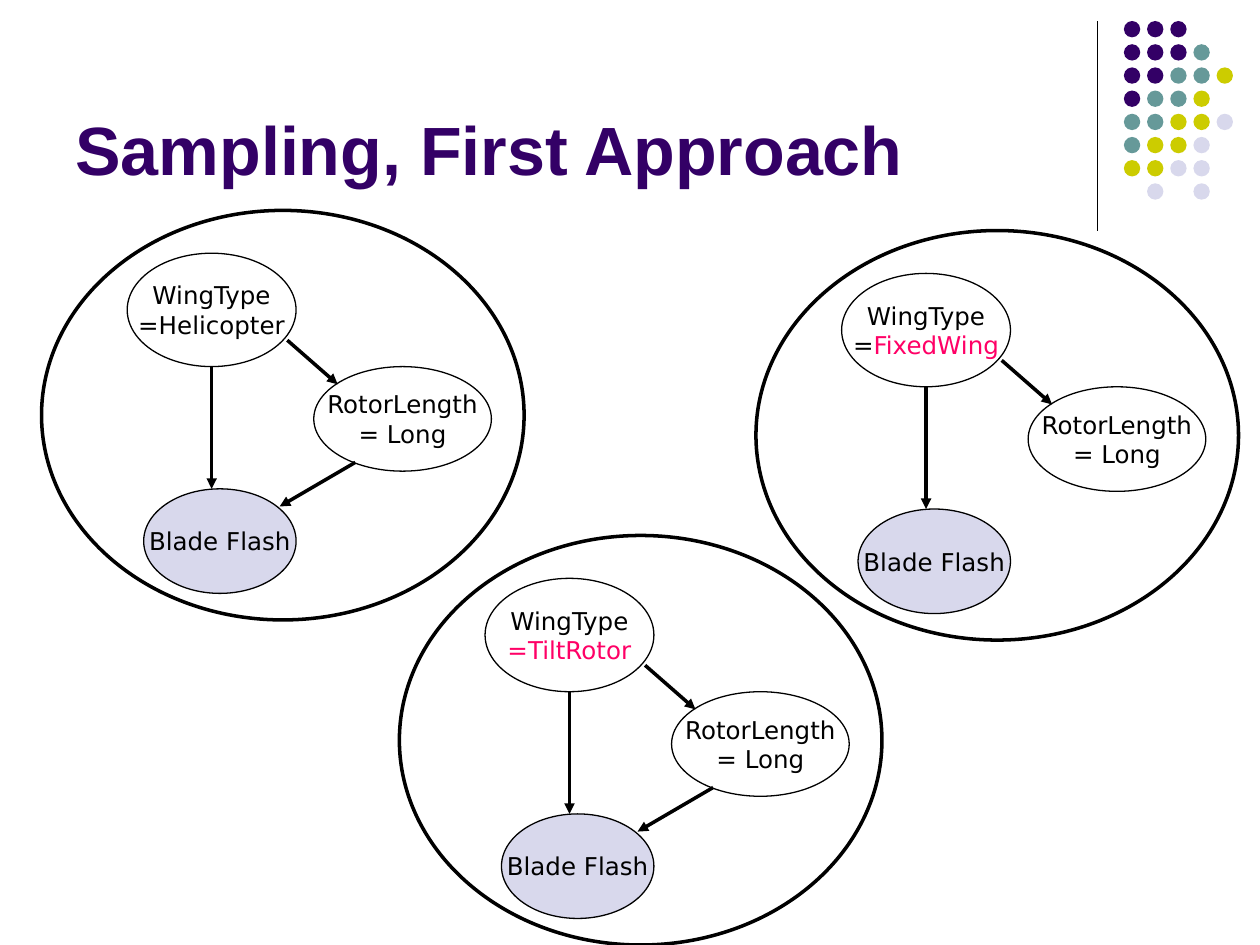
from typing import NamedTuple

from lxml import etree
from pptx import Presentation
from pptx.dml.color import RGBColor
from pptx.enum.shapes import MSO_CONNECTOR, MSO_SHAPE
from pptx.enum.text import MSO_ANCHOR, PP_ALIGN
from pptx.oxml.ns import qn
from pptx.util import Inches, Pt

OVAL = MSO_SHAPE.OVAL
STRAIGHT = MSO_CONNECTOR.STRAIGHT
MIDDLE, BOTTOM = MSO_ANCHOR.MIDDLE, MSO_ANCHOR.BOTTOM
CENTER = PP_ALIGN.CENTER

BLACK, PURPLE, PINK, LILAC = "000000", "330066", "FF0066", "D8D8EC"
DOTS = {"P": PURPLE, "T": "669999", "Y": "CCCC00", "L": LILAC}
DOT_ROWS = ["PPP", "PPPT", "PPTTY", "PTTY", "TTYYL", "TYYL", "YYLL", " L L"]
THIN, THICK = 0.75, 2

# The slide is a grid of 100 columns by 75 rows.
COLS, ROWS = 100, 75


class Run(NamedTuple):
    text: str
    color: str = BLACK


class Box(NamedTuple):
    col: float
    row: float
    wide: float
    high: float


class Arrow(NamedTuple):
    col: float
    row: float
    to_col: float
    to_row: float


class Sample(NamedTuple):
    col: float
    row: float
    value: list[Run]
    linked: bool


# Places inside a sample are counted from the top left of its ring.
RING = Box(0, 0, 38.3, 32.5)
WING = Box(6.8, 3.4, 13.4, 9)
BLADE = Box(8.1, 22.1, 12.1, 8.3)
ROTOR = Box(21.6, 12.4, 14.1, 8.3)
WING_BLADE = Arrow(13.5, 12.4, 13.5, 22.1)
WING_ROTOR = Arrow(19.5, 10.3, 23.5, 13.8)
ROTOR_BLADE = Arrow(24.9, 20, 18.9, 23.5)

SAMPLES = [
    Sample(3.3, 16.7, [Run("=Helicopter")], True),
    Sample(31.7, 42.5, [Run("=TiltRotor", PINK)], True),
    Sample(60, 18.3, [Run("="), Run("FixedWing", PINK)], False),
]

deck = Presentation()
deck.slide_width, deck.slide_height = Inches(10), Inches(7.5)
slide = deck.slides.add_slide(deck.slide_layouts[6])
shapes = slide.shapes


def paint(color: str) -> RGBColor:
    return RGBColor.from_string(color)


def across(cols: float) -> int:
    return round(deck.slide_width * cols / COLS)


def down(rows: float) -> int:
    return round(deck.slide_height * rows / ROWS)


def place(box: Box) -> tuple[int, int, int, int]:
    return across(box.col), down(box.row), across(box.wide), down(box.high)


def shift(box: Box, sample: Sample) -> Box:
    return box._replace(col=box.col + sample.col, row=box.row + sample.row)


def draw_oval(box: Box, fill: str = "", line: float = 0):
    """Draw an ellipse; an empty fill or zero line is left out."""
    oval = shapes.add_shape(OVAL, *place(box))
    oval.shadow.inherit = False
    if fill:
        oval.fill.solid()
        oval.fill.fore_color.rgb = paint(fill)
    else:
        oval.fill.background()
    if line:
        oval.line.color.rgb = paint(BLACK)
        oval.line.width = Pt(line)
    else:
        oval.line.fill.background()
    return oval


def draw_node(box: Box, lines: list[list[Run]], fill: str = "") -> None:
    frame = draw_oval(box, fill, THIN).text_frame
    frame.word_wrap = False
    frame.vertical_anchor = MIDDLE
    for index, runs in enumerate(lines):
        para = frame.add_paragraph() if index else frame.paragraphs[0]
        para.alignment = CENTER
        para.font.name, para.font.size = "DejaVu Sans", Pt(14)
        for item in runs:
            run = para.add_run()
            run.text = item.text
            run.font.color.rgb = paint(item.color)


def draw_line(ends: Arrow, width: float, head: bool = True) -> None:
    line = shapes.add_connector(
        STRAIGHT, across(ends.col), down(ends.row),
        across(ends.to_col), down(ends.to_row))
    line.line.color.rgb = paint(BLACK)
    line.line.width = Pt(width)
    if head:
        etree.SubElement(line.line._get_or_add_ln(), qn("a:tailEnd"),
                         type="triangle")
    etree.SubElement(line._element.spPr, qn("a:effectLst"))


def draw_arrow(ends: Arrow, sample: Sample) -> None:
    col, row = sample.col, sample.row
    draw_line(Arrow(ends.col + col, ends.row + row,
                    ends.to_col + col, ends.to_row + row), THICK)


def draw_sample(sample: Sample) -> None:
    draw_node(shift(WING, sample), [[Run("WingType")], sample.value])
    draw_node(shift(BLADE, sample), [[Run("Blade Flash")]], LILAC)
    draw_arrow(WING_BLADE, sample)
    if sample.linked:
        draw_arrow(ROTOR_BLADE, sample)
    draw_node(shift(ROTOR, sample), [[Run("RotorLength")], [Run("= Long")]])
    draw_arrow(WING_ROTOR, sample)
    draw_oval(shift(RING, sample), line=THICK)


def draw_dots() -> None:
    step, size = 1.84, 1.3
    for row, keys in enumerate(DOT_ROWS):
        for col, key in enumerate(keys):
            if key in DOTS:
                draw_oval(Box(89.2 + col * step, 1.67 + row * step,
                              size, size), DOTS[key])


def draw_title(text: str) -> None:
    frame = shapes.add_textbox(*place(Box(5, 1.3, 82.5, 14.2))).text_frame
    frame.word_wrap = True
    frame.vertical_anchor = BOTTOM
    para = frame.paragraphs[0]
    para.text = text
    font = para.font
    font.name, font.size, font.bold = "Arial", Pt(39), True
    font.color.rgb = paint(PURPLE)


draw_line(Arrow(87.1, 1.7, 87.1, 18.3), THIN, head=False)
draw_dots()
draw_title("Sampling, First Approach")
for sample in SAMPLES:
    draw_sample(sample)
deck.save("out.pptx")
